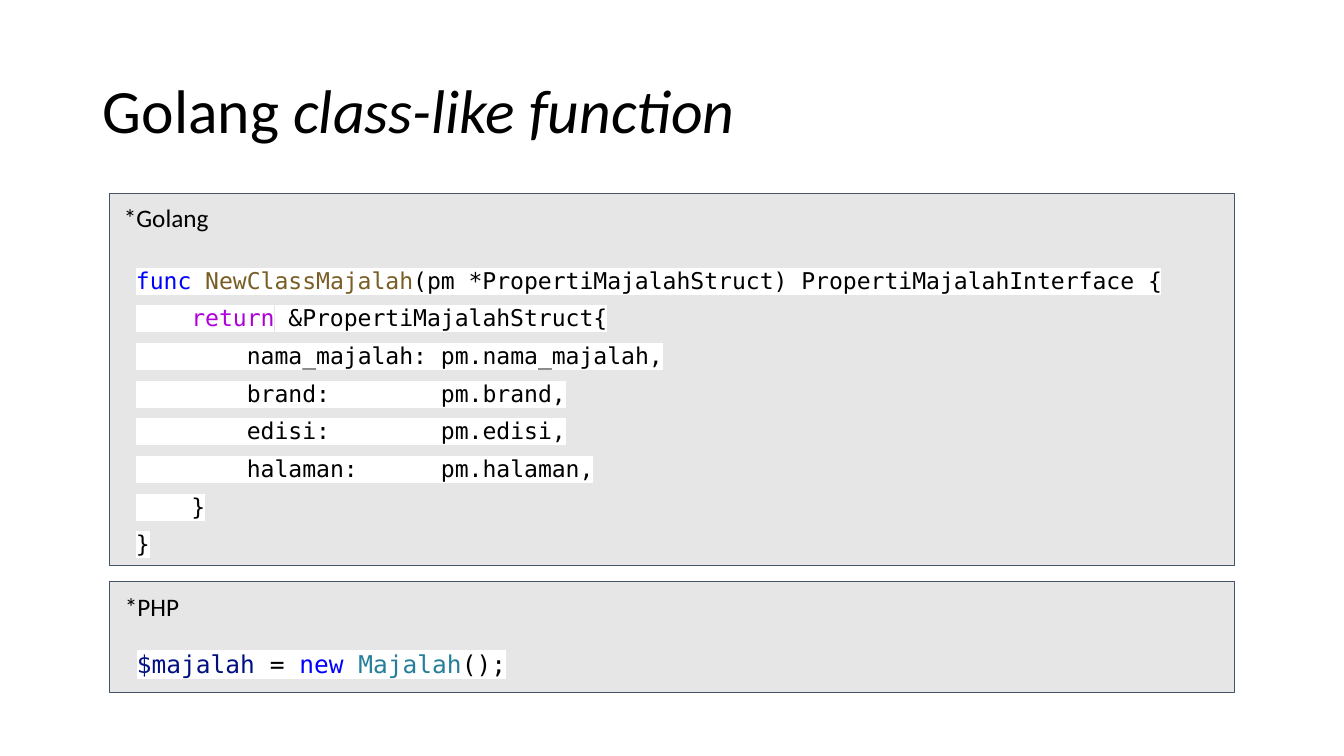
from lxml.etree import SubElement
from pptx import Presentation
from pptx.dml.color import RGBColor
from pptx.enum.text import MSO_ANCHOR, MSO_AUTO_SIZE, PP_ALIGN
from pptx.enum.shapes import MSO_SHAPE
from pptx.oxml.ns import qn
from pptx.util import Inches, Pt

WIDTH, HEIGHT = Inches(13.33), Inches(7.5)
COLUMNS, ROWS = 160, 90
PANEL_LEFT, PANEL_WIDTH = 13.08, 133.92
LABEL_SIZE = (32.64, 6)

COLORS = {
    "text": "000000",
    "panel": "E7E6E6",
    "border": "44546A",
    "highlight": "FFFFFF",
    "keyword": "0000FF",
    "function": "795E26",
    "control": "AF00DB",
    "variable": "001080",
    "class": "267F99",
}

# Each line of code is a list of (text, colour name) pieces.
GO_CODE = [
    [("func", "keyword"), (" ", "text"), ("NewClassMajalah", "function"),
     ("(pm *PropertiMajalahStruct) PropertiMajalahInterface {", "text")],
    [("    ", "text"), ("return", "control"), (" &PropertiMajalahStruct{", "text")],
    [("        nama_majalah: pm.nama_majalah,", "text")],
    [("        brand:        pm.brand,", "text")],
    [("        edisi:        pm.edisi,", "text")],
    [("        halaman:      pm.halaman,", "text")],
    [("    }", "text")],
    [("}", "text")],
]
PHP_CODE = [
    [("$majalah", "variable"), (" = ", "text"), ("new", "keyword"),
     (" ", "text"), ("Majalah", "class"), ("();", "text")],
]


def color(name):
    return RGBColor.from_string(COLORS[name])


def grid(left, top, width, height):
    """Turn grid columns and rows into lengths on the slide."""
    return (int(WIDTH * left / COLUMNS), int(HEIGHT * top / ROWS),
            int(WIDTH * width / COLUMNS), int(HEIGHT * height / ROWS))


def set_font(p, name, size):
    p.font.name = name
    p.font.size = Pt(size)
    p.font.color.rgb = color("text")


def fill_title(title):
    title.left, title.top, title.width, title.height = grid(11.04, 4.8, 138, 17.4)
    tf = title.text_frame
    tf.vertical_anchor = MSO_ANCHOR.MIDDLE
    p = tf.paragraphs[0]
    p.alignment = PP_ALIGN.LEFT
    p.line_spacing = 0.9
    set_font(p, "Calibri", 44)
    p.add_run().text = "Golang "
    r = p.add_run()
    r.text = "class-like function"
    r.font.italic = True


def add_panel(slide, top, height):
    sp = slide.shapes.add_shape(
        MSO_SHAPE.RECTANGLE, *grid(PANEL_LEFT, top, PANEL_WIDTH, height))
    sp.shadow.inherit = False
    sp.fill.solid()
    sp.fill.fore_color.rgb = color("panel")
    sp.line.color.rgb = color("border")
    sp.line.width = Pt(0.75)


def add_text_frame(slide, box):
    tf = slide.shapes.add_textbox(*grid(*box)).text_frame
    tf.word_wrap = True
    tf.auto_size = MSO_AUTO_SIZE.SHAPE_TO_FIT_TEXT
    tf.margin_left = tf.margin_right = Inches(0.1)
    tf.margin_top = tf.margin_bottom = Inches(0.1)
    return tf


def add_label(slide, text, left, top):
    tf = add_text_frame(slide, (left, top, *LABEL_SIZE))
    tf.vertical_anchor = MSO_ANCHOR.MIDDLE
    p = tf.paragraphs[0]
    p.text = text
    set_font(p, "Calibri", 18)


def highlight(r):
    mark = SubElement(r.font._element, qn("a:highlight"))
    SubElement(mark, qn("a:srgbClr"), val=COLORS["highlight"])


def add_code(slide, lines, box, size):
    tf = add_text_frame(slide, box)
    for i, line in enumerate(lines):
        p = tf.add_paragraph() if i else tf.paragraphs[0]
        p.line_spacing = 1.36
        set_font(p, "DejaVu Sans Mono", size)
        for text, name in line:
            r = p.add_run()
            r.text = text
            r.font.color.rgb = color(name)
            highlight(r)


def main():
    prs = Presentation()
    prs.slide_width, prs.slide_height = WIDTH, HEIGHT
    slide = prs.slides.add_slide(prs.slide_layouts.get_by_name("Title Only"))
    fill_title(slide.shapes.title)

    add_panel(slide, 23.04, 44.28)
    add_code(slide, GO_CODE, (15, 29.28, 131.16, 37.44), 16.5)
    add_label(slide, "*Golang", 13.56, 22.92)

    add_panel(slide, 69.24, 13.2)
    add_code(slide, PHP_CODE, (15.12, 74.76, 62.52, 6), 17.5)
    add_label(slide, "*PHP", 13.68, 69.24)

    prs.save("out.pptx")


if __name__ == "__main__":
    main()
